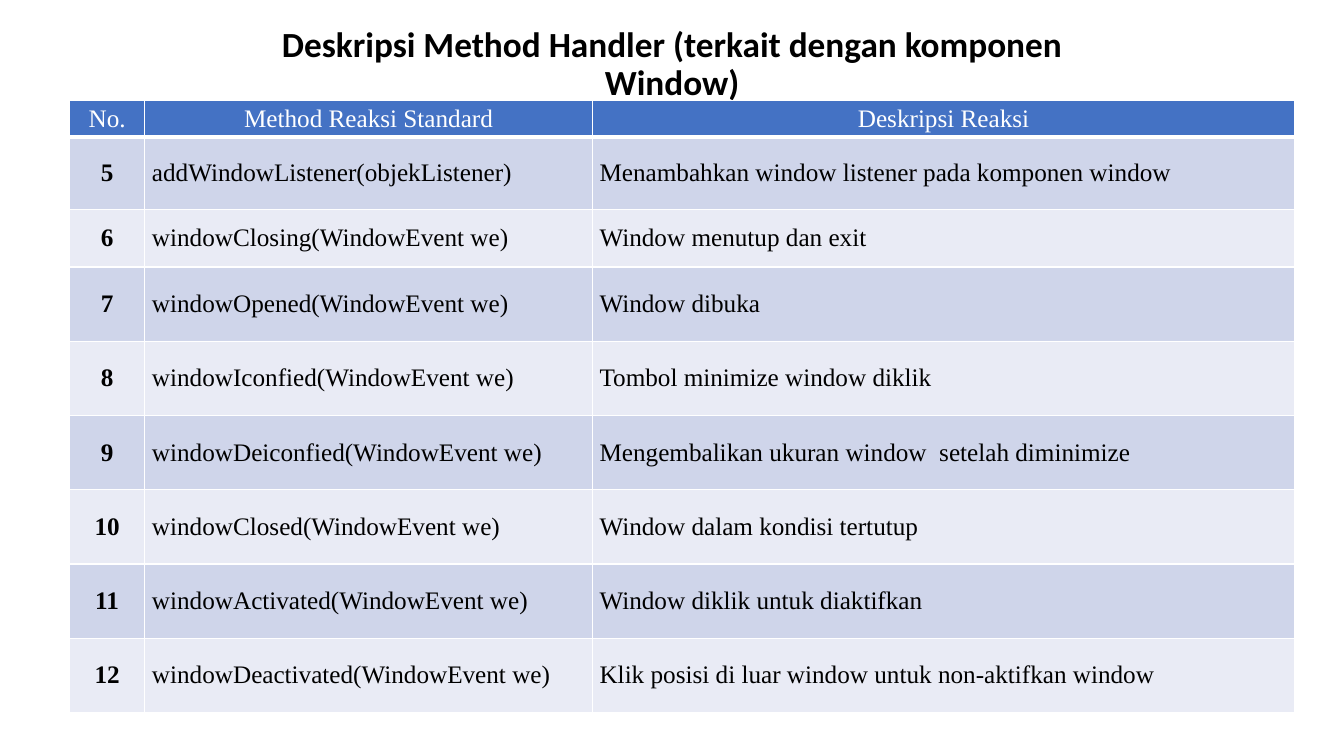
from lxml.etree import SubElement
from pptx import Presentation
from pptx.dml.color import RGBColor
from pptx.enum.text import MSO_ANCHOR as Anchor, PP_ALIGN as Align
from pptx.oxml.ns import qn
from pptx.util import Cm, Pt

TITLE = "Deskripsi Method Handler (terkait dengan komponen Window)"
HEADINGS = ("No.", "Method Reaksi Standard", "Deskripsi Reaksi")
METHODS = [
    ("5", "addWindowListener(objekListener)", "Menambahkan window listener pada komponen window"),
    ("6", "windowClosing(WindowEvent we)", "Window menutup dan exit"),
    ("7", "windowOpened(WindowEvent we)", "Window dibuka"),
    ("8", "windowIconfied(WindowEvent we)", "Tombol minimize window diklik"),
    ("9", "windowDeiconfied(WindowEvent we)", "Mengembalikan ukuran window  setelah diminimize"),
    ("10", "windowClosed(WindowEvent we)", "Window dalam kondisi tertutup"),
    ("11", "windowActivated(WindowEvent we)", "Window diklik untuk diaktifkan"),
    ("12", "windowDeactivated(WindowEvent we)", "Klik posisi di luar window untuk non-aktifkan window"),
]
COLORS = {"header": "4472C4", "odd": "CFD5EA", "even": "E9EBF5",
          "white": "FFFFFF", "black": "000000"}
COLUMN_WIDTHS = (1.9, 11.28, 17.7)
ROW_HEIGHTS = (0.91, 1.83, 1.45) + (1.87,) * 6
COLUMN_ALIGNS = (Align.CENTER, Align.LEFT, Align.JUSTIFY)
TABLE_LEFT, TABLE_TOP = 1.75, 2.54


def add_text(frame, text, align, font, size, color, bold):
    para = frame.paragraphs[0]
    para.alignment = align
    span = para.add_run()
    span.text = text
    span.font.name = font
    span.font.size = Pt(size)
    span.font.bold = bold
    span.font.color.rgb = RGBColor.from_string(COLORS[color])
    return para


def add_borders(cell, bottom_width):
    """Draw white lines round the cell, 1 pt except at the bottom."""
    properties = cell._tc.get_or_add_tcPr()
    for side, width in (("L", 1), ("R", 1), ("T", 1), ("B", bottom_width)):
        line = SubElement(properties, qn(f"a:ln{side}"), w=str(Pt(width)))
        fill = SubElement(line, qn("a:solidFill"))
        SubElement(fill, qn("a:srgbClr"), val=COLORS["white"])


def add_title(page):
    box = page.shapes.title
    box.left, box.top, box.width, box.height = Cm(5.51), Cm(0.76), Cm(22.86), Cm(1.78)
    box.text_frame.vertical_anchor = Anchor.MIDDLE
    box.text_frame.word_wrap = True
    para = add_text(box.text_frame, TITLE, Align.CENTER, "Calibri", 25.2, "black", True)
    para.line_spacing = 0.9


def add_method_table(page):
    rows = [HEADINGS] + METHODS
    table = page.shapes.add_table(
        len(rows), len(HEADINGS), Cm(TABLE_LEFT), Cm(TABLE_TOP),
        Cm(sum(COLUMN_WIDTHS)), Cm(sum(ROW_HEIGHTS))).table
    for column, width in zip(table.columns, COLUMN_WIDTHS):
        column.width = Cm(width)
    for row, height in zip(table.rows, ROW_HEIGHTS):
        row.height = Cm(height)

    for r, texts in enumerate(rows):
        is_header = r == 0
        band = "header" if is_header else "odd" if r % 2 else "even"
        for c, text in enumerate(texts):
            cell = table.cell(r, c)
            cell.vertical_anchor = Anchor.MIDDLE
            cell.margin_left = cell.margin_right = Cm(0.18)
            cell.margin_top = cell.margin_bottom = 0
            add_borders(cell, 3 if is_header else 1)
            cell.fill.solid()
            cell.fill.fore_color.rgb = RGBColor.from_string(COLORS[band])
            add_text(cell.text_frame, text,
                     Align.CENTER if is_header else COLUMN_ALIGNS[c],
                     "Times New Roman", 18, "white" if is_header else "black",
                     c == 0 and not is_header)


def main():
    deck = Presentation()
    deck.slide_width, deck.slide_height = Cm(33.87), Cm(19.05)
    page = deck.slides.add_slide(deck.slide_layouts.get_by_name("Title Only"))
    add_method_table(page)
    add_title(page)
    deck.save("out.pptx")


if __name__ == "__main__":
    main()
